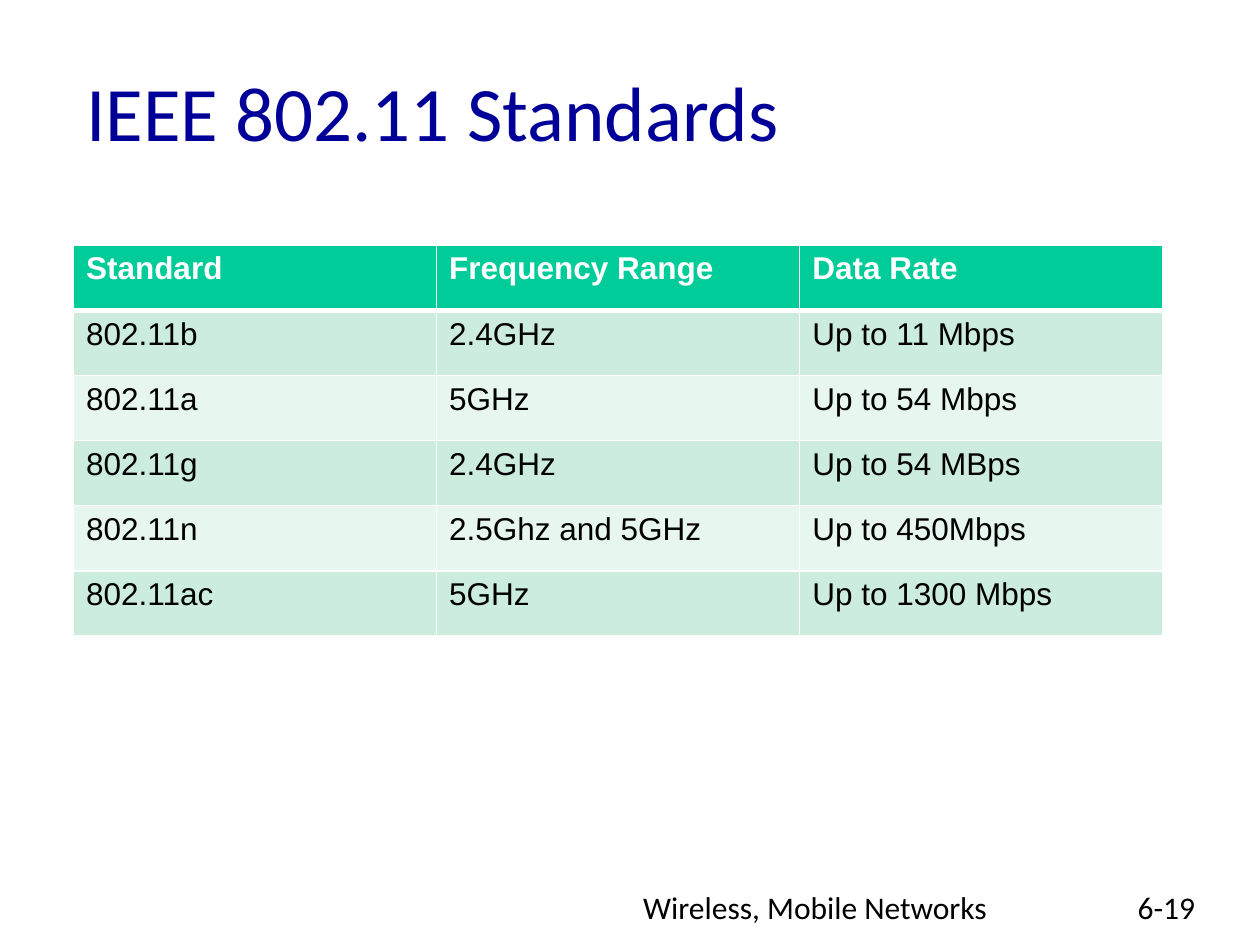
"""Build a slide with a table of the IEEE 802.11 standards."""
import pptx
import pptx.dml.color
import pptx.enum.text
import pptx.oxml
import pptx.oxml.ns
import pptx.util

Pt = pptx.util.Pt


def color(hex_value):
    return pptx.dml.color.RGBColor.from_string(hex_value)


class StandardsSlide:
    heading_font, table_font = "Calibri", "Arial"
    navy, black, white = "000099", "000000", "FFFFFF"
    header_fill, bands = "00CC99", ("CCECDE", "E7F6EF")

    def __init__(self, deck):
        self.slide = deck.slides.add_slide(deck.slide_layouts[5])

    def add_text(self, frame, text, size, font, hex_value, bold=False):
        frame.word_wrap = True
        paragraph = frame.paragraphs[0]
        paragraph.alignment = pptx.enum.text.PP_ALIGN.LEFT
        run = paragraph.add_run()
        run.text = text
        run.font.size = Pt(size)
        run.font.name = font
        run.font.bold = bold
        run.font.color.rgb = color(hex_value)

    def title(self, text, left, top, width, height):
        heading = self.slide.shapes.title
        heading.left, heading.top = Pt(left), Pt(top)
        heading.width, heading.height = Pt(width), Pt(height)
        heading.text_frame.vertical_anchor = pptx.enum.text.MSO_ANCHOR.MIDDLE
        self.add_text(heading.text_frame, text, 44, self.heading_font, self.navy)

    def label(self, text, left, top, width, height):
        box = self.slide.shapes.add_textbox(Pt(left), Pt(top), Pt(width), Pt(height))
        self.add_text(box.text_frame, text, 18, self.heading_font, self.black)

    def border(self, cell, side, width):
        cell._tc.get_or_add_tcPr().append(pptx.oxml.parse_xml(
            f'<a:ln{side} {pptx.oxml.ns.nsdecls("a")} w="{Pt(width)}"><a:solidFill>'
            f'<a:srgbClr val="{self.white}"/></a:solidFill></a:ln{side}>'))

    def table(self, rows, left, top, width, height):
        grid = self.slide.shapes.add_table(
            len(rows), len(rows[0]), Pt(left), Pt(top), Pt(width), Pt(height)).table
        for row_index, row in enumerate(rows):
            is_header = row_index == 0
            fill = self.header_fill if is_header else self.bands[(row_index - 1) % 2]
            widths = {"L": 1, "R": 1, "T": 3 if row_index == 1 else 1,
                      "B": 3 if is_header else 1}
            for column_index, text in enumerate(row):
                cell = grid.cell(row_index, column_index)
                for side, line_width in widths.items():
                    self.border(cell, side, line_width)
                cell.fill.solid()
                cell.fill.fore_color.rgb = color(fill)
                self.add_text(cell.text_frame, text, 18, self.table_font,
                              self.white if is_header else self.black, is_header)


def main():
    deck = pptx.Presentation()
    deck.slide_width, deck.slide_height = Pt(720), Pt(540)
    page = StandardsSlide(deck)
    page.title("IEEE 802.11 Standards", 42, 18, 612, 90)
    page.label("Wireless, Mobile Networks", 360.5, 504, 304, 25)
    page.label("6-19", 643, 504, 53, 36)
    standards = [
        ("Standard", "Frequency Range", "Data Rate"),
        ("802.11b", "2.4GHz", "Up to 11 Mbps"),
        ("802.11a", "5GHz", "Up to 54 Mbps"),
        ("802.11g", "2.4GHz", "Up to 54 MBps"),
        ("802.11n", "2.5Ghz and 5GHz", "Up to 450Mbps"),
        ("802.11ac", "5GHz", "Up to 1300 Mbps"),
    ]
    page.table(standards, 42, 140, 622.5, 223.5)
    deck.save("out.pptx")


if __name__ == "__main__":
    main()
